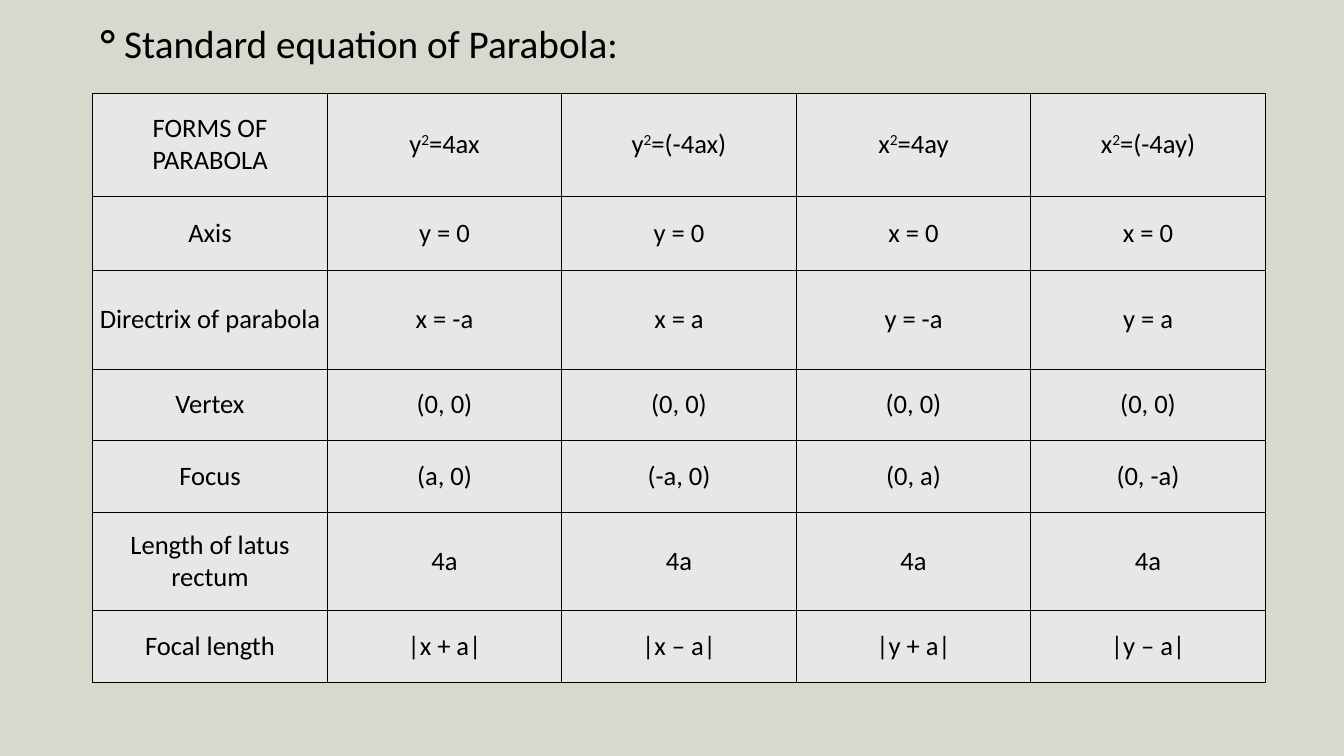
"""Build a slide tabulating the standard equations of the parabola."""
from lxml.etree import SubElement
from pptx import Presentation
from pptx.dml.color import RGBColor
from pptx.enum.text import MSO_ANCHOR as Anchor, MSO_AUTO_SIZE as AutoSize, PP_ALIGN as Align
from pptx.oxml.ns import qn
from pptx.util import Inches, Pt

BACKGROUND = RGBColor(0xD8, 0xD8, 0xCF)
CELL_FILL = RGBColor(0xE7, 0xE7, 0xE7)
BLACK = RGBColor(0, 0, 0)

ROW_HEIGHTS = [1.54, 1.1, 1.46, 1.07, 1.07, 1.46, 1.06]
ROWS = [
    ["FORMS OF PARABOLA", "y²=4ax", "y²=(-4ax)", "x²=4ay", "x²=(-4ay)"],
    ["Axis", "y = 0", "y = 0", "x = 0", "x = 0"],
    ["Directrix of parabola", "x = -a", "x = a", "y = -a", "y = a"],
    ["Vertex"] + ["(0, 0)"] * 4,
    ["Focus", "(a, 0)", "(-a, 0)", "(0, a)", "(0, -a)"],
    ["Length of latus rectum"] + ["4a"] * 4,
    ["Focal length", "|x + a|", "|x – a|", "|y + a|", "|y – a|"],
]


class SlideBuilder:
    """Hold the text style and the current slide."""

    def __init__(self, page, font="Calibri", color=BLACK):
        """Store the style and paint the background."""
        self.page, self.font, self.color = page, font, color
        page.background.fill.solid()
        page.background.fill.fore_color.rgb = BACKGROUND

    def style(self, para, size, align):
        """Format a paragraph with line spacing in proportion to its size."""
        para.alignment = align
        para.line_spacing = Pt(size * 1.2)
        para.font.name = self.font
        para.font.size = Pt(size)
        para.font.color.rgb = self.color

    def title(self, text, left, top, width, height):
        """Place the bulleted title."""
        box = self.page.shapes.title
        box.left, box.top, box.width, box.height = map(Inches, (left, top, width, height))
        frame = box.text_frame
        frame.text = text
        frame.word_wrap = True
        frame.auto_size = AutoSize.NONE
        frame.vertical_anchor = Anchor.TOP
        frame.margin_left = frame.margin_right = frame.margin_top = frame.margin_bottom = 0
        para = frame.paragraphs[0]
        properties = para._p.get_or_add_pPr()
        properties.set("marL", str(Inches(0.97)))
        properties.set("indent", str(Inches(-0.32)))
        SubElement(properties, qn("a:buChar"), char="⚬")
        self.style(para, 42, Align.LEFT)

    def borders(self, cell, width=1):
        """Draw a solid line on each side of a cell."""
        properties = cell._tc.get_or_add_tcPr()
        for side in "LRTB":
            line = SubElement(properties, qn(f"a:ln{side}"), w=str(Pt(width)))
            fill = SubElement(line, qn("a:solidFill"))
            SubElement(fill, qn("a:srgbClr"), val=str(self.color))

    def cell(self, cell, text):
        """Fill a cell, raising the exponent in an equation."""
        self.borders(cell)
        cell.fill.solid()
        cell.fill.fore_color.rgb = CELL_FILL
        cell.vertical_anchor = Anchor.MIDDLE
        cell.margin_left = cell.margin_right = Inches(0.07)
        cell.margin_top = cell.margin_bottom = Inches(0.07)
        para = cell.text_frame.paragraphs[0]
        base, exponent, rest = text.partition("²")
        para.add_run().text = base
        if exponent:
            power = para.add_run()
            power.text = "2"
            power._r.get_or_add_rPr().set("baseline", "30000")
            para.add_run().text = rest
        self.style(para, 28.5, Align.CENTER)

    def table(self, rows, heights, left, top, width):
        """Add a table with equal columns."""
        count = len(rows[0])
        table = self.page.shapes.add_table(
            len(rows), count, Inches(left), Inches(top), Inches(width), Inches(sum(heights))
        ).table
        table.first_row = table.horz_banding = False
        for column in table.columns:
            column.width = Inches(width / count)
        for row, height, texts in zip(table.rows, heights, rows):
            row.height = Inches(height)
            for cell, text in zip(row.cells, texts):
                self.cell(cell, text)


def main():
    """Create and save the deck."""
    deck = Presentation()
    deck.slide_width, deck.slide_height = Inches(20), Inches(11.25)
    builder = SlideBuilder(deck.slides.add_slide(deck.slide_layouts[5]))
    builder.title("Standard equation of Parabola:", 0.71, 0.28, 19.09, 0.8)
    builder.table(ROWS, ROW_HEIGHTS, 1.38, 1.39, 17.45)
    deck.save("out.pptx")


if __name__ == "__main__":
    main()
